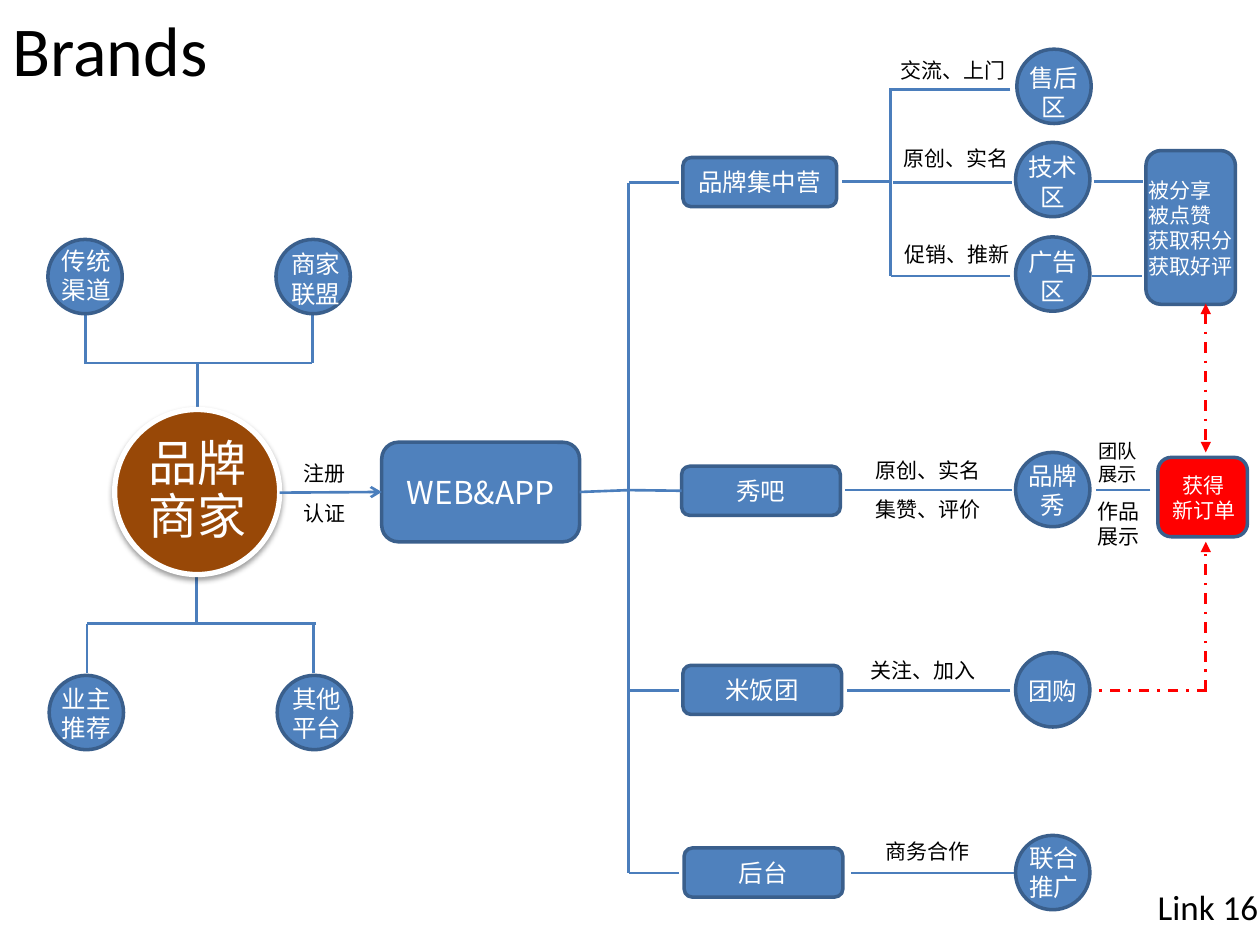
from itertools import pairwise

from lxml.etree import SubElement
from pptx import Presentation
from pptx.dml.color import RGBColor
from pptx.enum.dml import MSO_LINE
from pptx.enum.shapes import MSO_CONNECTOR, MSO_SHAPE
from pptx.enum.text import MSO_ANCHOR, MSO_AUTO_SIZE, PP_ALIGN
from pptx.oxml.ns import qn
from pptx.util import Emu, Pt

PX = 9144
CJK = "Noto Sans CJK SC"
BLUE, EDGE, WIRE = "4F81BD", "3A5F8C", "4B7EBC"
WHITE, BLACK, RED, BROWN = "FFFFFF", "000000", "FF0000", "984807"


def px(value):
    """Turn px into EMU."""
    return Emu(value * PX)


def color(value):
    """Turn a hex string into a colour."""
    return RGBColor.from_string(value)


class Diagram:
    """Hold the style and the current slide, and draw each kind of element."""

    def __init__(self, page):
        """Keep the slide."""
        self.page = page
        self.shapes = page.shapes

    def set_text(self, holder, text, size, ink, font=CJK, align=None):
        """Fill a text frame and style its runs."""
        frame = holder.text_frame
        frame.text = text
        for paragraph in frame.paragraphs:
            paragraph.alignment = align
            for span in paragraph.runs:
                span.font.size = Pt(size)
                span.font.name = font
                span.font.color.rgb = color(ink)
                SubElement(span.font._element, qn("a:ea"), typeface=font)

    def label(self, area, text, size=12, ink=BLACK, font=CJK, align=None, wrap=False):
        """Add a text box."""
        box = self.shapes.add_textbox(*map(px, area))
        self.set_text(box, text, size, ink, font, align)
        box.text_frame.word_wrap = wrap
        box.text_frame.auto_size = MSO_AUTO_SIZE.SHAPE_TO_FIT_TEXT
        return box

    def shape(self, kind, area, fill=BLUE, edge=EDGE, weight=2, turn=0):
        """Add a filled and outlined preset shape."""
        shape = self.shapes.add_shape(kind, *map(px, area))
        shape.shadow.inherit = False
        shape.fill.solid()
        shape.fill.fore_color.rgb = color(fill)
        shape.line.color.rgb = color(edge)
        shape.line.width = Pt(weight)
        shape.rotation = turn
        return shape

    def block(self, area, text, size=14):
        """Add a rounded box with centred text."""
        box = self.shape(MSO_SHAPE.ROUNDED_RECTANGLE, area)
        self.set_text(box, text, size, WHITE, align=PP_ALIGN.CENTER)
        box.text_frame.vertical_anchor = MSO_ANCHOR.MIDDLE
        return box

    def group(self, *members):
        """Group shapes that belong together."""
        self.shapes.add_group_shape(shapes=members)

    def node(self, left, top, text, text_left, text_top):
        """Add a small circle with its caption."""
        circle = self.shape(MSO_SHAPE.OVAL, (left, top, 59, 59))
        height = 57 if "\n" in text else 34
        area = (text_left, text_top, 59, height)
        self.group(circle, self.label(area, text, 14, WHITE, align=PP_ALIGN.CENTER))

    def card(self, area, text_area, text, fill=BLUE, align=None):
        """Add an upright rounded card with its caption."""
        card = self.shape(MSO_SHAPE.ROUNDED_RECTANGLE, area, fill, turn=270)
        caption = self.label(text_area, text, 12, WHITE, align=align, wrap=True)
        self.group(card, caption)

    def hub(self, area, text_area, text):
        """Add the large shadowed circle with its caption."""
        circle = self.shape(MSO_SHAPE.OVAL, area, BROWN, WHITE, 3)
        effects = circle._element.spPr.find(qn("a:effectLst"))
        shadow = SubElement(effects, qn("a:outerShdw"), blurRad="40000", dist="20000",
                            dir="5400000", rotWithShape="0")
        tint = SubElement(shadow, qn("a:srgbClr"), val=BLACK)
        SubElement(tint, qn("a:alpha"), val="38000")
        caption = self.label(text_area, text, 28, WHITE, align=PP_ALIGN.CENTER, wrap=True)
        frame = caption.text_frame
        frame.auto_size = MSO_AUTO_SIZE.NONE
        frame.vertical_anchor = MSO_ANCHOR.MIDDLE
        frame.margin_left = frame.margin_right = px(2)
        frame.margin_top = frame.margin_bottom = px(2)
        frame.paragraphs[0].line_spacing = 0.9
        self.group(circle, caption)

    def line(self, x1, y1, x2, y2, ink=WIRE, dash=None, head=None, tail=None,
             start=None, end=None):
        """Add a straight connector, joined to boxes where they are given."""
        wire = self.shapes.add_connector(MSO_CONNECTOR.STRAIGHT, *map(px, (x1, y1, x2, y2)))
        wire.line.color.rgb = color(ink)
        wire.line.width = Pt(1.5)
        if dash:
            wire.line.dash_style = dash
        for name, arrow in (("a:headEnd", head), ("a:tailEnd", tail)):
            if arrow:
                SubElement(wire.line._ln, qn(name), type=arrow)
        SubElement(wire._element.spPr, qn("a:effectLst"))
        if start:
            wire.begin_connect(*start)
        if end:
            wire.end_connect(*end)


def draw_merchant(diagram):
    """Draw the merchant hub and its four sources."""
    for wire in ((67, 288, 248, 288), (68, 249, 68, 288), (157, 288, 157, 325),
                 (248, 249, 248, 288), (251, 495, 69, 495), (249, 534, 249, 495),
                 (156, 496, 156, 456), (69, 534, 69, 495)):
        diagram.line(*wire)
    for node in ((38, 190, "传统\n渠道", 39, 190), (219, 190, "商家\n联盟", 221, 193),
                 (39, 536, "业主\n推荐", 39, 538), (220, 536, "其他\n平台", 222, 538)):
        diagram.node(*node)
    diagram.hub((91, 325, 131, 131), (110, 344, 93, 93), "品牌商家")


def draw_platform(diagram):
    """Draw the platform, its trunk and its four sections."""
    platform = diagram.block((303, 351, 157, 79), "WEB&APP", 18)
    diagram.block((542, 125, 122, 39), "品牌集中营")
    show = diagram.block((541, 370, 126, 39), "秀吧")
    diagram.block((542, 528, 126, 39), "米饭团")
    diagram.block((543, 673, 126, 39), "后台")
    diagram.line(222, 391, 303, 391, tail="arrow", end=(platform, 1))
    diagram.line(499, 389, 460, 389, end=(platform, 3))
    diagram.line(541, 389, 499, 389, start=(show, 1))
    levels = (145, 389, 548, 693)
    for upper, lower in pairwise(levels):
        diagram.line(499, upper, 499, lower)
    for level in (145, 548, 693):
        diagram.line(539, level, 499, level)


def draw_areas(diagram):
    """Draw the areas that the sections lead to."""
    for wire in ((802, 548, 672, 548), (805, 693, 675, 693), (803, 389, 671, 389),
                 (913, 389, 870, 389), (707, 144, 668, 144), (707, 70, 707, 145),
                 (707, 144, 707, 219), (802, 71, 707, 71), (803, 145, 709, 145),
                 (802, 219, 707, 219), (907, 144, 868, 144), (906, 219, 867, 219)):
        diagram.line(*wire)
    for node in ((807, 39, "售后\n区", 807, 45), (806, 113, "技术\n区", 806, 116),
                 (806, 188, "广告\n区", 806, 191), (806, 359, "品牌\n秀", 806, 361),
                 (806, 518, "团购", 806, 532), (806, 663, "联合\n推广", 807, 664)):
        diagram.node(*node)


def draw_orders(diagram):
    """Draw the rewards, the new order and the dashed paths."""
    diagram.card((884, 145, 122, 71), (902, 136, 88, 91),
                 "被分享\n被点赞\n获取积分\n获取好评")
    diagram.card((923, 359, 63, 71), (920, 370, 71, 50), "获得\n新订单", RED, PP_ALIGN.CENTER)
    dash = MSO_LINE.DASH_DOT
    diagram.line(957, 241, 957, 359, RED, dash, "triangle", "triangle")
    diagram.line(958, 548, 868, 548, RED, dash)
    diagram.line(957, 548, 957, 430, RED, dash, tail="triangle")


def draw_labels(diagram):
    """Add the title, the page mark and the words along the lines."""
    diagram.label((0, 0, 177, 77), "Brands", 40, font="Calibri")
    diagram.label((909, 698, 244, 44), "Link 16", 20, font="Calibri", wrap=True)
    for left, top, text in ((231, 361, "注册"), (231, 392, "认证"), (705, 41, "交流、上门"),
                            (707, 111, "原创、实名"), (708, 187, "促销、推新"),
                            (685, 358, "原创、实名"), (685, 389, "集赞、评价"),
                            (681, 517, "关注、加入"), (693, 661, "商务合作")):
        diagram.label((left, top, 20 + 17 * len(text), 30), text)
    diagram.label((862, 344, 51, 47), "团队\n展示", 11)
    diagram.label((861, 391, 54, 50), "作品\n展示")


def main():
    """Build and save the deck."""
    deck = Presentation()
    deck.slide_width, deck.slide_height = px(1000), px(750)
    diagram = Diagram(deck.slides.add_slide(deck.slide_layouts[6]))
    for draw in (draw_merchant, draw_platform, draw_areas, draw_orders, draw_labels):
        draw(diagram)
    deck.save("out.pptx")


if __name__ == "__main__":
    main()
